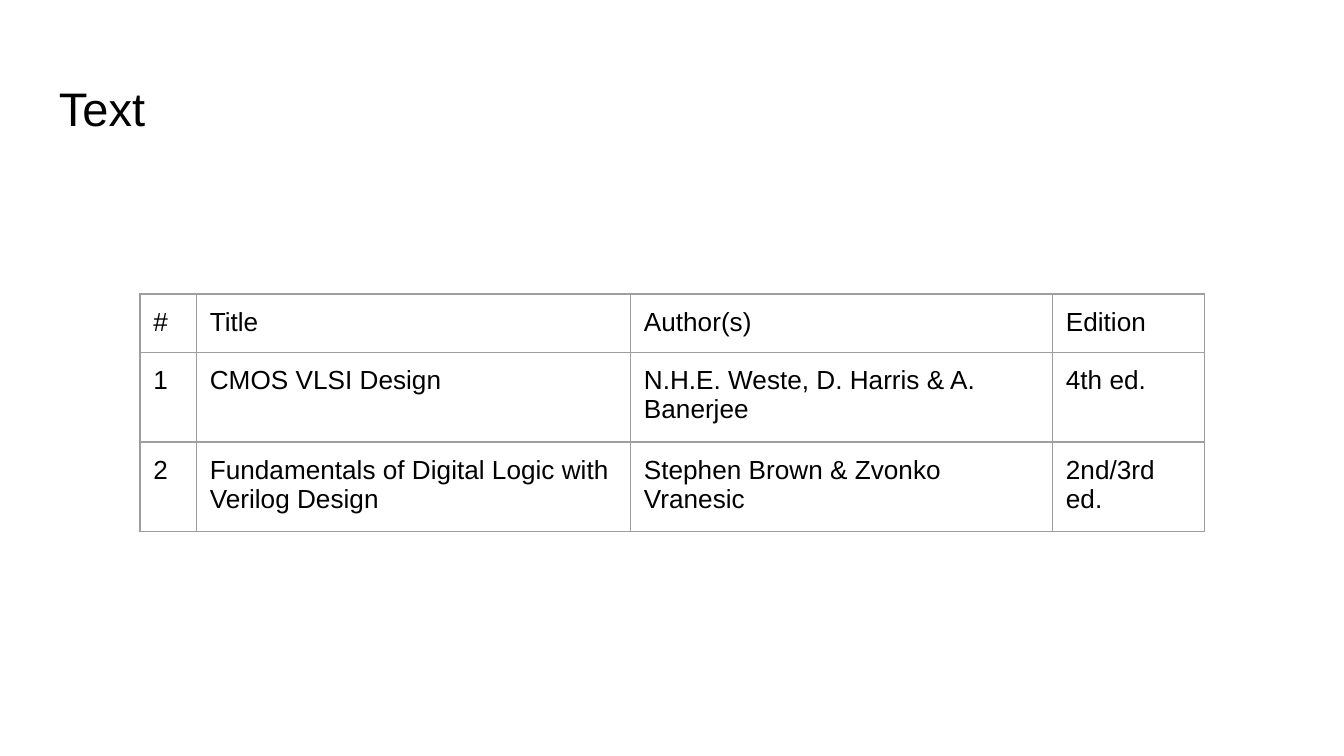
from lxml import etree
from pptx import Presentation
from pptx.dml.color import RGBColor
from pptx.enum.text import MSO_ANCHOR
from pptx.oxml.ns import qn
from pptx.util import Pt

MIDDLE = MSO_ANCHOR.MIDDLE
BLANK_LAYOUT = 6

COLUMN_WIDTHS = [30.24, 232.56, 226.08, 81.36]
ROW_HEIGHT = 30.24
BOOKS = [
    ["#", "Title", "Author(s)", "Edition"],
    ["1", "CMOS VLSI Design", "N.H.E. Weste, D. Harris & A. Banerjee", "4th ed."],
    ["2", "Fundamentals of Digital Logic with Verilog Design",
     "Stephen Brown & Zvonko Vranesic", "2nd/3rd ed."],
]


def color(value):
    return RGBColor.from_string(value)


class SlideBuilder:
    font_name = "Arial"
    text_color = "000000"
    border_color = "9E9E9E"
    border_width = 0.75
    inset = 7.2

    def __init__(self, page):
        self.page = page

    def set_margins(self, holder):
        holder.margin_left = holder.margin_right = Pt(self.inset)
        holder.margin_top = holder.margin_bottom = Pt(self.inset)

    def set_text(self, frame, text, size):
        frame.word_wrap = True
        para = frame.paragraphs[0]
        para.text = text
        para.font.name = self.font_name
        para.font.size = Pt(size)
        para.font.color.rgb = color(self.text_color)

    def title(self, text, left, top, width, height, size):
        box = self.page.shapes.add_textbox(Pt(left), Pt(top), Pt(width), Pt(height))
        frame = box.text_frame
        self.set_margins(frame)
        frame.vertical_anchor = MIDDLE
        self.set_text(frame, text, size)

    def borders(self, cell):
        properties = cell._tc.get_or_add_tcPr()
        # Border lines come before the fill in the cell properties
        for index, side in enumerate(("lnL", "lnR", "lnT", "lnB")):
            line = etree.Element(qn(f"a:{side}"), w=str(Pt(self.border_width)))
            fill = etree.SubElement(line, qn("a:solidFill"))
            etree.SubElement(fill, qn("a:srgbClr"), val=self.border_color)
            properties.insert(index, line)

    def table(self, rows, left, top, widths, row_height, size):
        table = self.page.shapes.add_table(
            len(rows), len(widths), Pt(left), Pt(top),
            Pt(sum(widths)), Pt(row_height * len(rows))).table
        table.first_row = False
        table.horz_banding = False
        for column, width in zip(table.columns, widths):
            column.width = Pt(width)
        for row, texts in zip(table.rows, rows):
            row.height = Pt(row_height)
            for cell, text in zip(row.cells, texts):
                self.set_margins(cell)
                self.set_text(cell.text_frame, text, size)
                cell.fill.background()
                self.borders(cell)


def main():
    deck = Presentation()
    deck.slide_width, deck.slide_height = Pt(720), Pt(405)
    page = deck.slides.add_slide(deck.slide_layouts[BLANK_LAYOUT])
    page.background.fill.solid()
    page.background.fill.fore_color.rgb = color("FFFFFF")
    builder = SlideBuilder(page)

    # Heading
    builder.title("Text", 24.48, 35.28, 671.04, 45.36, size=25.2)

    # Book list
    builder.table(BOOKS, 75, 157.5, COLUMN_WIDTHS, ROW_HEIGHT, size=14)

    deck.save("out.pptx")


if __name__ == "__main__":
    main()
